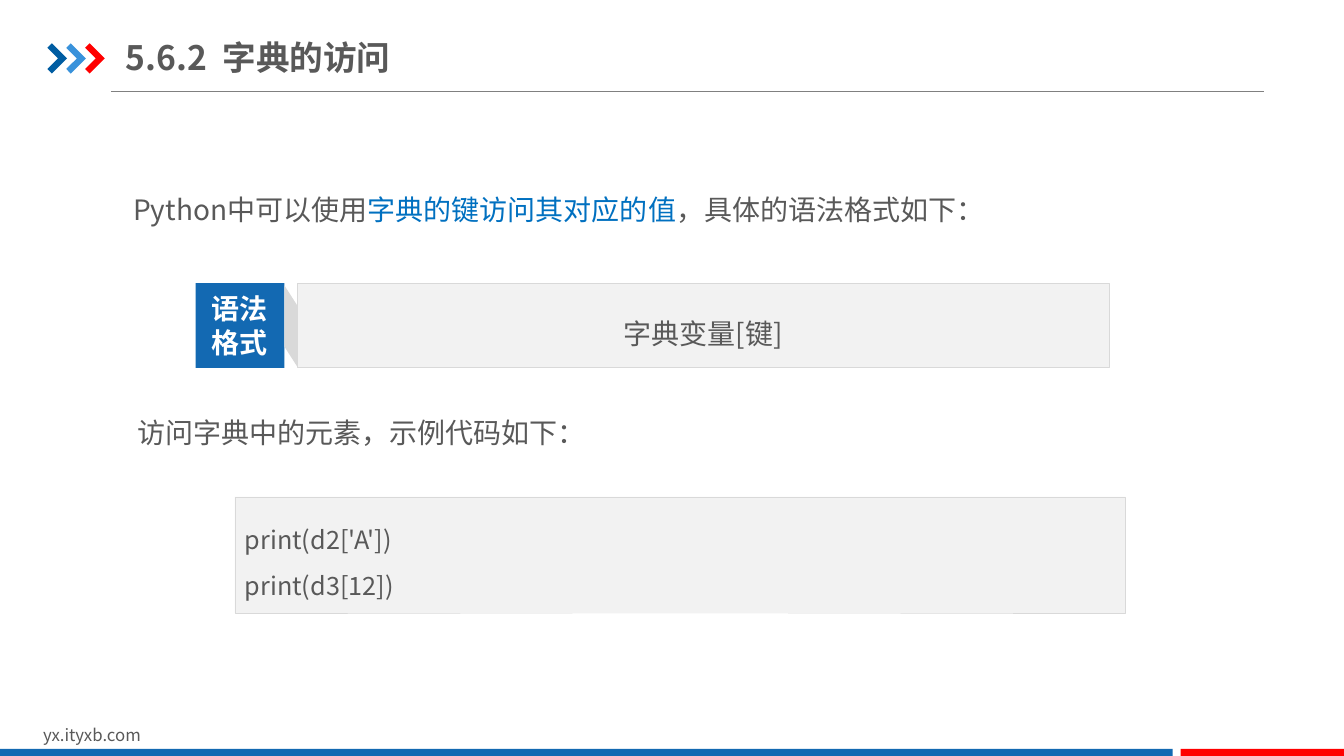
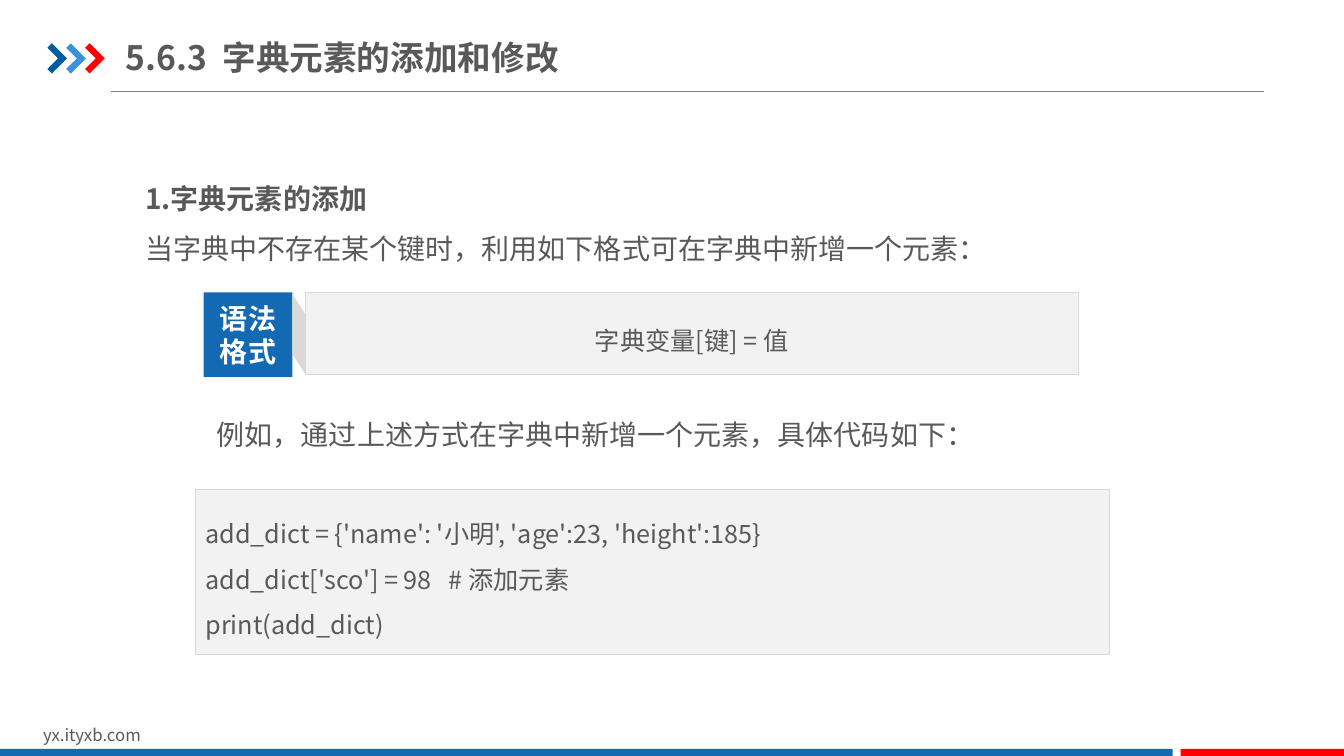
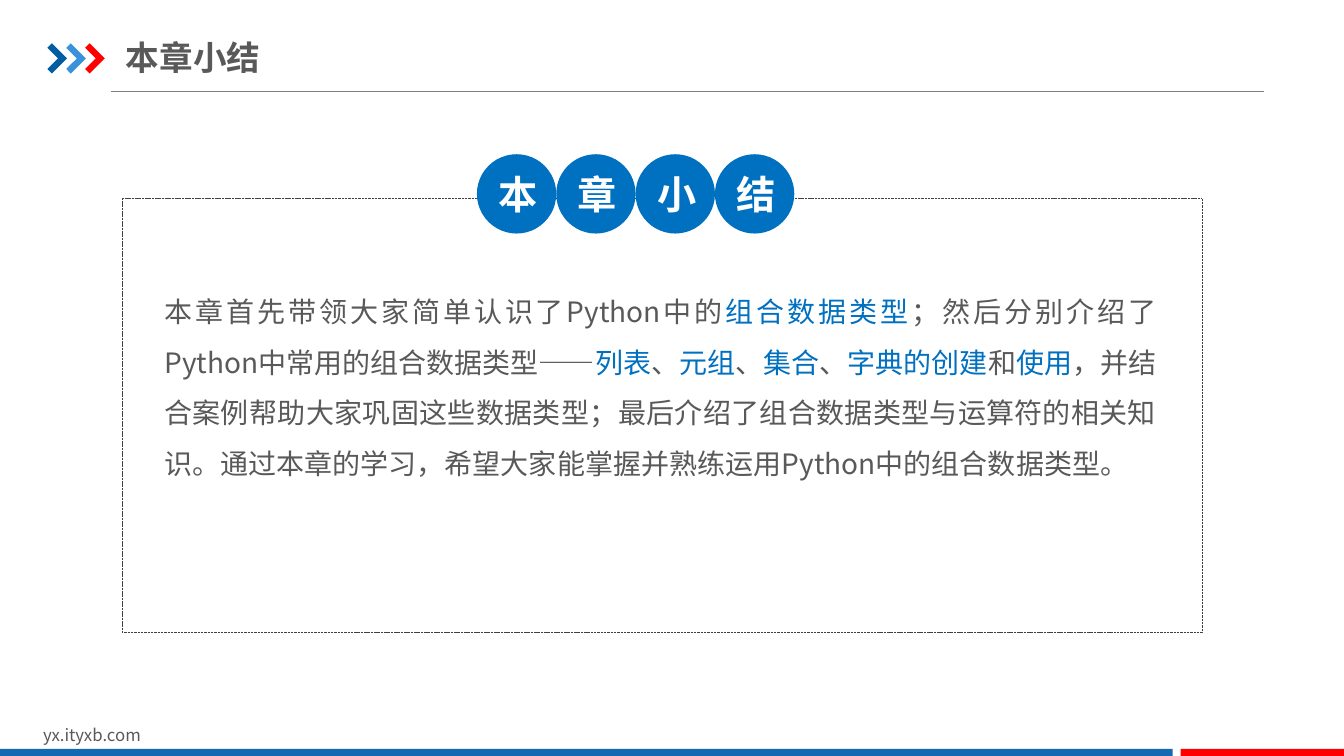
from lxml import etree
from pptx import Presentation
from pptx import util as u
from pptx.dml.color import RGBColor
from pptx.enum import dml, shapes, text
from pptx.oxml import ns

FONT = "Noto Sans CJK SC"
GREY, BLUE, ACCENT, RED = "595959", "1369B2", "0070C0", "FF0000"
PANEL, EDGE, WHITE = "F2F2F2", "D9D9D9", "FFFFFF"
RECTANGLE, OVAL = shapes.MSO_SHAPE.RECTANGLE, shapes.MSO_SHAPE.OVAL
CHEVRON = [(0, 0.15), (0.23, 0), (1, 0.5), (0.23, 1), (0, 0.85), (0.54, 0.5)]
FOLD = [(0, 0), (1, 0.25), (1, 1), (0, 0.75)]
LEFT, CENTER, JUSTIFY = text.PP_ALIGN.LEFT, text.PP_ALIGN.CENTER, text.PP_ALIGN.JUSTIFY
MIDDLE, TOP = text.MSO_ANCHOR.MIDDLE, text.MSO_ANCHOR.TOP

presentation = Presentation()
presentation.slide_width, presentation.slide_height = u.Inches(13.33), u.Inches(7.5)
column, row = presentation.slide_width / 133.3, presentation.slide_height / 75


def add(slide, kind, left, top, width, height, fill=None, line=None):
    box = [round(left * column), round(top * row), round(width * column), round(height * row)]
    if kind is None:
        return slide.shapes.add_textbox(*box)
    if isinstance(kind, list):
        points = [(box[0] + x * box[2], box[1] + y * box[3]) for x, y in kind]
        builder = slide.shapes.build_freeform(*points[0])
        builder.add_line_segments(points[1:], close=True)
        shape = builder.convert_to_shape()
    else:
        shape = slide.shapes.add_shape(kind, *box)
    shape.shadow.inherit = False
    if fill:
        shape.fill.solid()
        shape.fill.fore_color.rgb = RGBColor.from_string(fill)
    else:
        shape.fill.background()
    if line:
        shape.line.color.rgb = RGBColor.from_string(line)
        shape.line.width = u.Pt(0.25)
    else:
        shape.line.fill.background()
    return shape


def write(shape, lines, size=20, colour=GREY, bold=False, align=LEFT, spacing=1.0,
          anchor=TOP, insets=(0.1, 0.05)):
    frame = shape.text_frame
    frame.word_wrap = True
    frame.vertical_anchor = anchor
    frame.margin_left = frame.margin_right = u.Inches(insets[0])
    frame.margin_top = frame.margin_bottom = u.Inches(insets[1])
    for number, line in enumerate(lines):
        paragraph = frame.add_paragraph() if number else frame.paragraphs[0]
        paragraph.alignment, paragraph.line_spacing = align, spacing
        for position, piece in enumerate(line.split("|")):
            run = paragraph.add_run()
            run.text = piece
            run.font.size, run.font.name = u.Pt(size), FONT
            run.font.bold = bold or (number == 0 and line.startswith("1."))
            run.font.color.rgb = RGBColor.from_string(ACCENT if position % 2 else colour)
            properties = run.font._element
            etree.SubElement(properties, ns.qn("a:ea")).set("typeface", FONT)


slides = []
for title in ["5.6.2  字典的访问", "5.6.3  字典元素的添加和修改", "本章小结"]:
    slide = presentation.slides.add_slide(presentation.slide_layouts[6])
    slides.append(slide)
    rule = slide.shapes.add_connector(
        shapes.MSO_CONNECTOR.STRAIGHT,
        round(11 * column), round(9.1 * row), round(125.4 * column), round(9.1 * row))
    rule.line.color.rgb = RGBColor.from_string("808080")
    rule.line.width = u.Pt(0.75)
    etree.SubElement(rule._element.spPr, ns.qn("a:effectLst"))
    for index, colour in enumerate(["005DA2", "3992DB", RED]):
        add(slide, CHEVRON, 4.7 + 1.87 * index, 4.3, 1.95, 3, colour)
    write(add(slide, None, 3.3, 71.4, 31.8, 3), ["yx.ityxb.com"], 12)
    add(slide, RECTANGLE, 0, 74.3, 116.3, 0.7, BLUE)
    add(slide, RECTANGLE, 117.1, 74.3, 16.2, 0.7, RED)
    write(add(slide, None, 12.5, 2.9, 62, 5.5), [title], 24, bold=True,
          anchor=MIDDLE, insets=(0, 0.07))

access, adding, summary = slides

for slide, left, top, width, height, lines in [
    (access, 11.9, 16.7, 102.2, 7.8,
     ["Python中可以使用|字典的键访问其对应的值|，具体的语法格式如下："]),
    (access, 12.3, 38.9, 102.2, 7.8, ["访问字典中的元素，示例代码如下："]),
    (adding, 13.1, 15.6, 108.9, 22,
     ["1.字典元素的添加", "当字典中不存在某个键时，利用如下格式可在字典中新增一个元素："]),
    (adding, 20.2, 39.1, 91.2, 7, ["例如，通过上述方式在字典中新增一个元素，具体代码如下："]),
]:
    write(add(slide, None, left, top, width, height), lines,
          align=JUSTIFY, spacing=1.5, insets=(0.13, 0.07))

for slide, left, top, width, height, syntax, size in [
    (access, 19.4, 28.1, 80.5, 8.3, "字典变量[键]", 20),
    (adding, 20.2, 29, 76.6, 8.1, "字典变量[键] = 值", 18),
]:
    write(add(slide, RECTANGLE, left + 10.1, top, width, height, PANEL, EDGE), [syntax], size,
          align=CENTER, spacing=1.5, anchor=MIDDLE)
    write(add(slide, RECTANGLE, left, top, 8.8, 8.4, BLUE), ["语法", "格式"],
          colour=WHITE, bold=True, align=CENTER, anchor=MIDDLE, insets=(0, 0))
    add(slide, FOLD, left + 8.8, top + 0.2, 1.3, height - 0.2, EDGE)

for slide, left, top, width, height, code in [
    (access, 23.3, 49.3, 88.3, 11.5, ["print(d2['A'])", "print(d3[12])"]),
    (adding, 19.4, 48.5, 90.6, 16.4,
     ["add_dict = {'name': '小明', 'age':23, 'height':185}",
      "add_dict['sco'] = 98   # 添加元素",
      "print(add_dict)"]),
]:
    write(add(slide, RECTANGLE, left, top, width, height, PANEL, EDGE), code, 18,
          spacing=1.5, anchor=MIDDLE)

border = add(summary, RECTANGLE, 12.1, 19.7, 107.1, 43, line="404040")
border.line.dash_style = dml.MSO_LINE.SQUARE_DOT
write(add(summary, None, 16.3, 27.6, 98.4, 20.2),
      ["本章首先带领大家简单认识了Python中的|组合数据类型|；然后分别介绍了Python中常用的"
       "组合数据类型——|列表|、|元组|、|集合|、|字典的创建|和|使用|，并结合案例帮助大家巩固"
       "这些数据类型；最后介绍了组合数据类型与运算符的相关知识。通过本章的学习，希望大家能"
       "掌握并熟练运用Python中的组合数据类型。"],
      align=JUSTIFY, spacing=1.5, insets=(0, 0))
for index, character in enumerate("本章小结"):
    write(add(summary, OVAL, 47.3 + 7.87 * index, 15.3, 7.87, 7.87, ACCENT), [character], 28,
          colour=WHITE, bold=True, align=CENTER, anchor=MIDDLE)

presentation.save("out.pptx")
